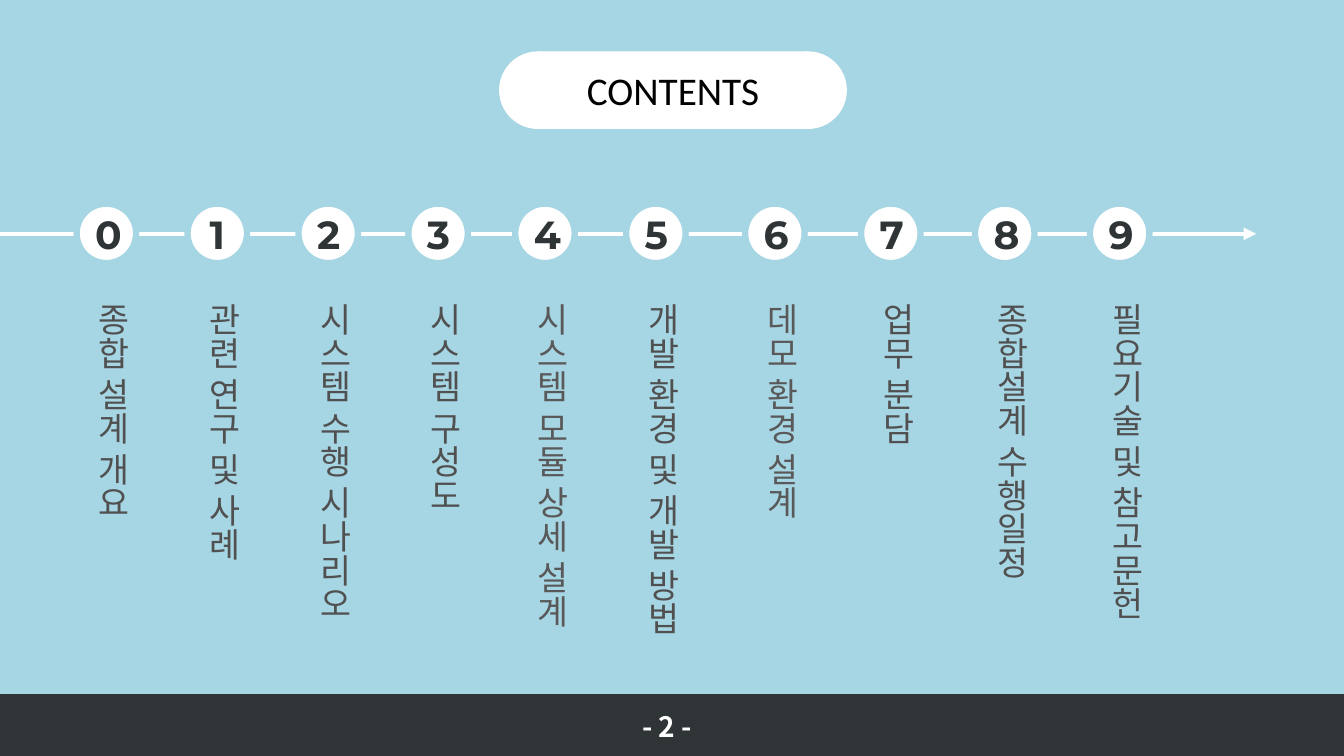
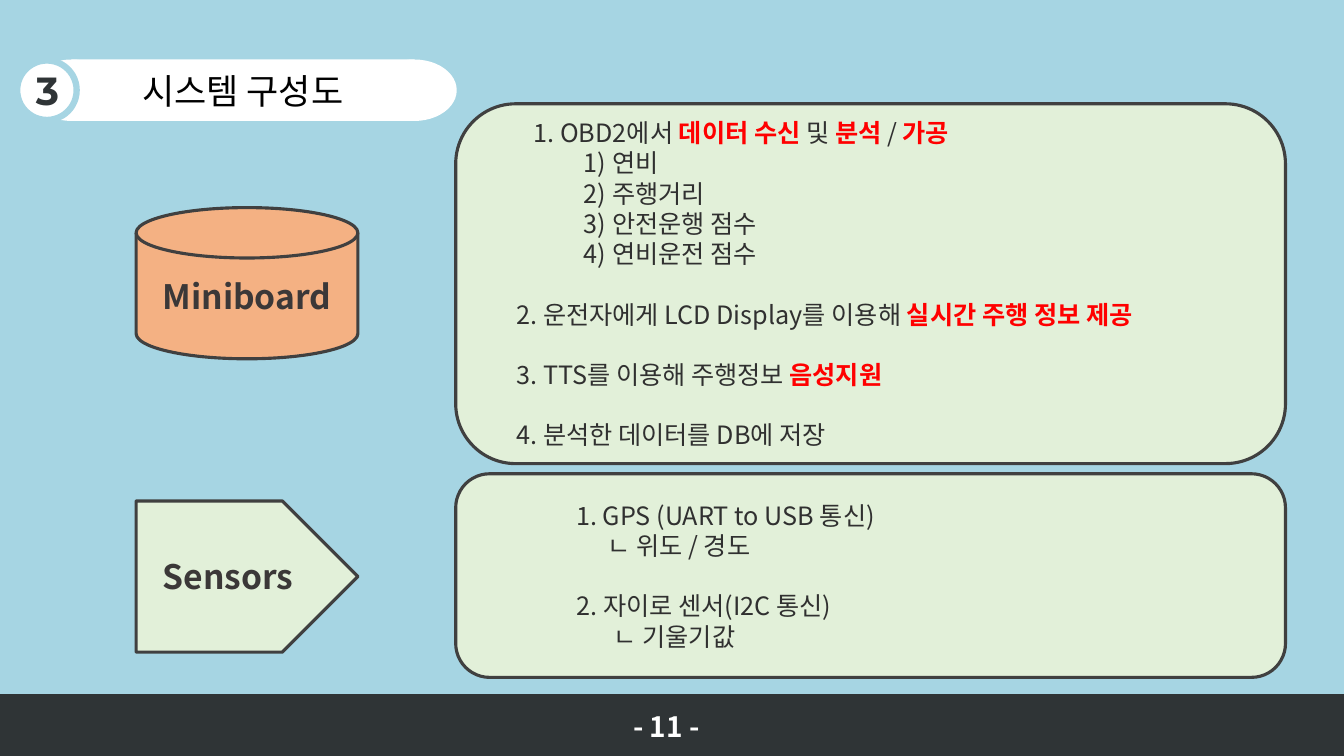
from lxml import etree
from pptx import Presentation
from pptx import util as u
from pptx.dml.color import RGBColor
from pptx.enum import shapes, text
from pptx.oxml.ns import qn

SKY = RGBColor(0xA6, 0xD5, 0xE3)
WHITE = RGBColor(0xFF, 0xFF, 0xFF)
BLACK = RGBColor(0, 0, 0)
SLATE = RGBColor(0x2F, 0x34, 0x36)
OUTLINE = RGBColor(0x40, 0x40, 0x40)
LABEL = RGBColor(0x50, 0x50, 0x50)
LIGHT_LABEL = RGBColor(0x59, 0x59, 0x59)
BLOCK_TEXT = RGBColor(0x3B, 0x38, 0x38)
BODY = RGBColor(0x30, 0x30, 0x30)
RED = RGBColor(0xFF, 0, 0)
MINT = RGBColor(0xE2, 0xF0, 0xD9)
ORANGE = RGBColor(0xF4, 0xB1, 0x83)

KOREAN = "Noto Sans CJK KR"
NUMERALS = "Montserrat"
LATIN = "Calibri"
SHAPE = shapes.MSO_SHAPE
CENTER = text.PP_ALIGN.CENTER
LINE_PITCH = 21.6

SECTIONS = [
    (0.76, "종합 설계 개요", LABEL),
    (1.86, "관련 연구 및 사례", LABEL),
    (2.96, "시스템 수행 시나리오", LABEL),
    (4.05, "시스템 구성도", LABEL),
    (5.11, "시스템 모듈 상세 설계", LIGHT_LABEL),
    (6.21, "개발 환경 및 개발 방법", LABEL),
    (7.39, "데모 환경 설계", LIGHT_LABEL),
    (8.54, "업무 분담", LABEL),
    (9.67, "종합설계 수행일정", LABEL),
    (10.81, "필요기술 및 참고문헌", LABEL),
]

BOARD_TASKS = [
    (0.5, 0, [("1. OBD2에서 ", False), ("데이터 수신 ", True), ("및 ", False),
              ("분석", True), (" / ", False), ("가공", True)]),
    (1, 0, [("1) 연비", False)]),
    (1, 0, [("2) 주행거리", False)]),
    (1, 0, [("3) 안전운행 점수", False)]),
    (1, 0, [("4) 연비운전 점수", False)]),
    (0.33, 1, [("2. 운전자에게 LCD Display를 이용해 ", False),
               ("실시간 주행 정보 제공", True)]),
    (0.33, 1, [("3. TTS를 이용해 주행정보 ", False), ("음성지원", True)]),
    (0.33, 1, [("4. 분석한 데이터를 DB에 저장", False)]),
]

SENSOR_TASKS = [
    (1, 0, [("1. GPS (UART to USB 통신)", False)]),
    (1.31, 0, [("ㄴ 위도 / 경도", False)]),
    (1, 1, [("2. 자이로 센서(I2C 통신)", False)]),
    (1.37, 0, [("ㄴ 기울기값", False)]),
]


def write(paragraph, words, size=18, font=KOREAN, color=BODY, bold=False, align=None):
    if align is not None:
        paragraph.alignment = align
    run = paragraph.add_run()
    run.text = words
    run.font.size = u.Pt(size)
    run.font.bold = bold
    run.font.color.rgb = color
    run.font.name = font
    east_asian = etree.SubElement(run.font._element, qn("a:ea"))
    east_asian.set("typeface", font)


class Deck:
    def __init__(self):
        self.presentation = Presentation()
        self.presentation.slide_width = u.Inches(13.33)
        self.presentation.slide_height = u.Inches(7.5)
        self.slide = None

    def add_slide(self, number, number_left, number_width):
        layout = self.presentation.slide_layouts[6]
        self.slide = self.presentation.slides.add_slide(layout)
        fill = self.slide.background.fill
        fill.solid()
        fill.fore_color.rgb = SKY
        self.shape(SHAPE.RECTANGLE, 0, 6.89, 13.33, 0.61, SLATE, SLATE, 1)
        frame = self.text_box(number_left, 6.99, number_width, 0.44)
        frame.vertical_anchor = text.MSO_ANCHOR.MIDDLE
        write(frame.paragraphs[0], f"- {number} -", size=20, color=WHITE, bold=True)

    def shape(self, kind, left, top, width, height, fill, line=None, weight=2.25):
        shape = self.slide.shapes.add_shape(
            kind, u.Inches(left), u.Inches(top), u.Inches(width), u.Inches(height))
        shape.shadow.inherit = False
        shape.fill.solid()
        shape.fill.fore_color.rgb = fill
        if line is None:
            shape.line.fill.background()
        else:
            shape.line.color.rgb = line
            shape.line.width = u.Pt(weight)
        shape.text_frame.vertical_anchor = text.MSO_ANCHOR.MIDDLE
        return shape

    def text_box(self, left, top, width, height):
        box = self.slide.shapes.add_textbox(
            u.Inches(left), u.Inches(top), u.Inches(width), u.Inches(height))
        box.text_frame.word_wrap = True
        return box.text_frame

    def title_pill(self, words, left, top, width, height, cap, size, font):
        for cap_left in (left, left + width - cap):
            self.shape(SHAPE.OVAL, cap_left, top, cap, height, WHITE)
        body = self.shape(SHAPE.RECTANGLE, left + cap / 2, top, width - cap, height, WHITE)
        write(body.text_frame.paragraphs[0], words, size=size, font=font,
              color=BLACK, align=CENTER)

    def badge(self, number, left, top):
        circle = self.shape(SHAPE.OVAL, left, top, 0.59, 0.59, WHITE, SKY, 4.5)
        write(circle.text_frame.paragraphs[0], str(number), size=28, font=NUMERALS,
              color=SLATE, bold=True, align=CENTER)

    def arrow(self, left, right, top):
        connector = self.slide.shapes.add_connector(
            shapes.MSO_CONNECTOR.STRAIGHT,
            u.Inches(left), u.Inches(top), u.Inches(right), u.Inches(top))
        connector.line.color.rgb = WHITE
        connector.line.width = u.Pt(3)
        tail = etree.SubElement(connector.line._get_or_add_ln(), qn("a:tailEnd"))
        tail.set("type", "triangle")
        etree.SubElement(connector._element.spPr, qn("a:effectLst"))

    def vertical_label(self, words, left, color):
        frame = self.text_box(left, 2.91, 0.61, 3.57)
        frame.auto_size = text.MSO_AUTO_SIZE.SHAPE_TO_FIT_TEXT
        frame._txBody.bodyPr.set("vert", "eaVert")
        write(frame.paragraphs[0], words, size=24, color=color)

    def block(self, kind, words, top, fill):
        block = self.shape(kind, 1.35, top, 2.2, 1.5, fill, OUTLINE)
        write(block.text_frame.paragraphs[0], words, size=24, color=BLOCK_TEXT,
              bold=True, align=CENTER)

    def panel(self, tasks, top, height):
        panel = self.shape(SHAPE.ROUNDED_RECTANGLE, 4.52, top, 8.23, height, MINT, OUTLINE)
        frame = panel.text_frame
        for index, (indent, lines_before, runs) in enumerate(tasks):
            paragraph = frame.add_paragraph() if index else frame.paragraphs[0]
            paragraph.alignment = text.PP_ALIGN.LEFT
            paragraph.line_spacing = u.Pt(LINE_PITCH)
            paragraph.space_before = u.Pt(LINE_PITCH * lines_before)
            paragraph._p.get_or_add_pPr().set("marL", str(u.Inches(indent)))
            for words, key in runs:
                write(paragraph, words, color=RED if key else BODY, bold=key)


def add_contents(deck):
    deck.add_slide(2, 6.27, 0.8)
    deck.title_pill("CONTENTS", 4.95, 0.51, 3.45, 0.77, 0.77, 28, LATIN)
    deck.arrow(0, 12.46, 2.32)
    for number, (left, words, color) in enumerate(SECTIONS):
        deck.badge(number, left, 2.02)
        deck.vertical_label(words, left, color)


def add_system_diagram(deck):
    deck.add_slide(11, 6.18, 0.98)
    deck.title_pill("시스템 구성도", 0.29, 0.59, 4.24, 0.61, 0.84, 25, KOREAN)
    deck.badge(3, 0.17, 0.6)
    deck.block(SHAPE.FLOWCHART_MAGNETIC_DISK, "Miniboard", 2.06, ORANGE)
    deck.block(SHAPE.PENTAGON, "Sensors", 4.97, MINT)
    deck.panel(BOARD_TASKS, 1.03, 3.57)
    deck.panel(SENSOR_TASKS, 4.7, 2.02)


def main():
    deck = Deck()
    add_contents(deck)
    add_system_diagram(deck)
    deck.presentation.save("out.pptx")


if __name__ == "__main__":
    main()
